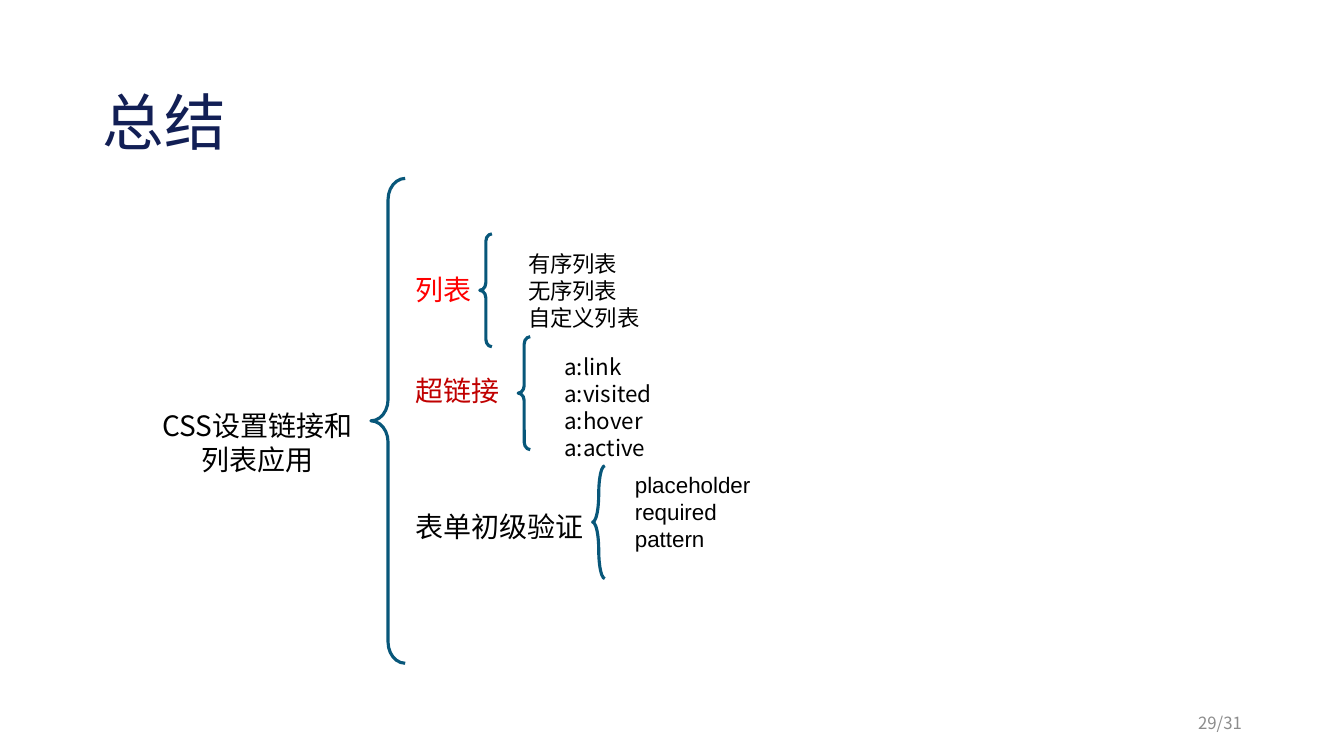
from dataclasses import dataclass

from lxml import etree
from pptx import Presentation
from pptx import util as u
from pptx.dml.color import RGBColor
from pptx.enum import shapes, text
from pptx.oxml import ns
from pptx.slide import Slide

NAVY = RGBColor(0x12, 0x1F, 0x55)
TEAL = RGBColor(0x08, 0x57, 0x7A)
RED = RGBColor(0xFF, 0x00, 0x00)
DARK_RED = RGBColor(0xC0, 0x00, 0x00)
GRAY = RGBColor(0x8C, 0x8C, 0x8C)
BLACK = RGBColor(0x00, 0x00, 0x00)
CJK = "Noto Sans CJK SC"
LINE_RATIO = 1.21
LEFT = text.PP_ALIGN.LEFT
TOP = text.MSO_ANCHOR.TOP
MIDDLE = text.MSO_ANCHOR.MIDDLE


@dataclass(frozen=True)
class Line:
    wording: str
    color: RGBColor = BLACK
    space_before: float = 0


@dataclass(frozen=True)
class TextBlock:
    left: float
    top: float
    width: float
    height: float
    size: float
    lines: list[Line]
    font: str = CJK
    align: text.PP_ALIGN = LEFT
    anchor: text.MSO_ANCHOR = TOP
    relative_spacing: float | None = None
    top_inset: float = 3.6


@dataclass(frozen=True)
class Brace:
    left: float
    top: float
    width: float
    height: float
    curve: float


LABEL_SIZE = 20
LABEL_PITCH = LABEL_SIZE * LINE_RATIO

TEXT_BLOCKS = [
    TextBlock(66.24, 28.8, 828, 104.4, 44, [Line("总结", NAVY)],
              anchor=MIDDLE, relative_spacing=1.2),
    TextBlock(289.44, 118.08, 519.84, 322.56, LABEL_SIZE,
              [Line("列表", RED),
               Line("超链接", DARK_RED, 2 * LABEL_PITCH),
               Line("表单初级验证", BLACK, 3 * LABEL_PITCH)],
              top_inset=3.6 + 3 * LABEL_PITCH),
    TextBlock(370.08, 174.96, 159.84, 65.52, 16,
              [Line("有序列表"), Line("无序列表"), Line("自定义列表")]),
    TextBlock(102.96, 288, 162, 55.44, LABEL_SIZE,
              [Line("CSS设置链接和列表应用")], align=text.PP_ALIGN.CENTER),
    TextBlock(396, 248.4, 159.84, 84.96, 16,
              [Line("a:link"), Line("a:visited"), Line("a:hover"), Line("a:active")]),
    TextBlock(446.4, 332.64, 159.84, 65.52, 16,
              [Line("placeholder"), Line("required"), Line("pattern")], font="Arial"),
    TextBlock(678.24, 500.4, 216, 28.8, 12, [Line("29/31", GRAY)],
              align=text.PP_ALIGN.RIGHT, anchor=MIDDLE, relative_spacing=1.2),
]

BRACES = [
    Brace(264.96, 127.44, 24.48, 346.32, 0.62),
    Brace(342.72, 167.04, 8.64, 80.64, 0.62),
    Brace(370.08, 240.48, 8.64, 80.64, 0.62),
    Brace(423.36, 332.64, 8.64, 80.64, 2.4),
]


def draw_text(slide: Slide, block: TextBlock) -> None:
    shape = slide.shapes.add_textbox(
        u.Pt(block.left), u.Pt(block.top), u.Pt(block.width), u.Pt(block.height))
    frame = shape.text_frame
    frame.word_wrap = True
    frame.vertical_anchor = block.anchor
    frame.margin_top = u.Pt(block.top_inset)
    for index, line in enumerate(block.lines):
        paragraph = frame.add_paragraph() if index else frame.paragraphs[0]
        paragraph.alignment = block.align
        paragraph.space_before = u.Pt(line.space_before)
        paragraph.line_spacing = block.relative_spacing or u.Pt(block.size * LINE_RATIO)
        run = paragraph.add_run()
        run.text = line.wording
        run.font.size = u.Pt(block.size)
        run.font.color.rgb = line.color
        run.font.name = block.font
        east_asian = etree.SubElement(run.font._element, ns.qn("a:ea"))
        east_asian.set("typeface", block.font)


def draw_brace(slide: Slide, brace: Brace) -> None:
    shape = slide.shapes.add_shape(
        shapes.MSO_SHAPE.LEFT_BRACE,
        u.Pt(brace.left), u.Pt(brace.top), u.Pt(brace.width), u.Pt(brace.height))
    shape.adjustments[0] = brace.curve
    shape.adjustments[1] = 0.5
    shape.shadow.inherit = False
    shape.fill.background()
    shape.line.color.rgb = TEAL
    shape.line.width = u.Pt(2.25)


def main() -> None:
    presentation = Presentation()
    presentation.slide_width = u.Pt(960)
    presentation.slide_height = u.Pt(540)
    slide = presentation.slides.add_slide(presentation.slide_layouts[6])
    for block in TEXT_BLOCKS:
        draw_text(slide, block)
    for brace in BRACES:
        draw_brace(slide, brace)
    presentation.save("out.pptx")


if __name__ == "__main__":
    main()
